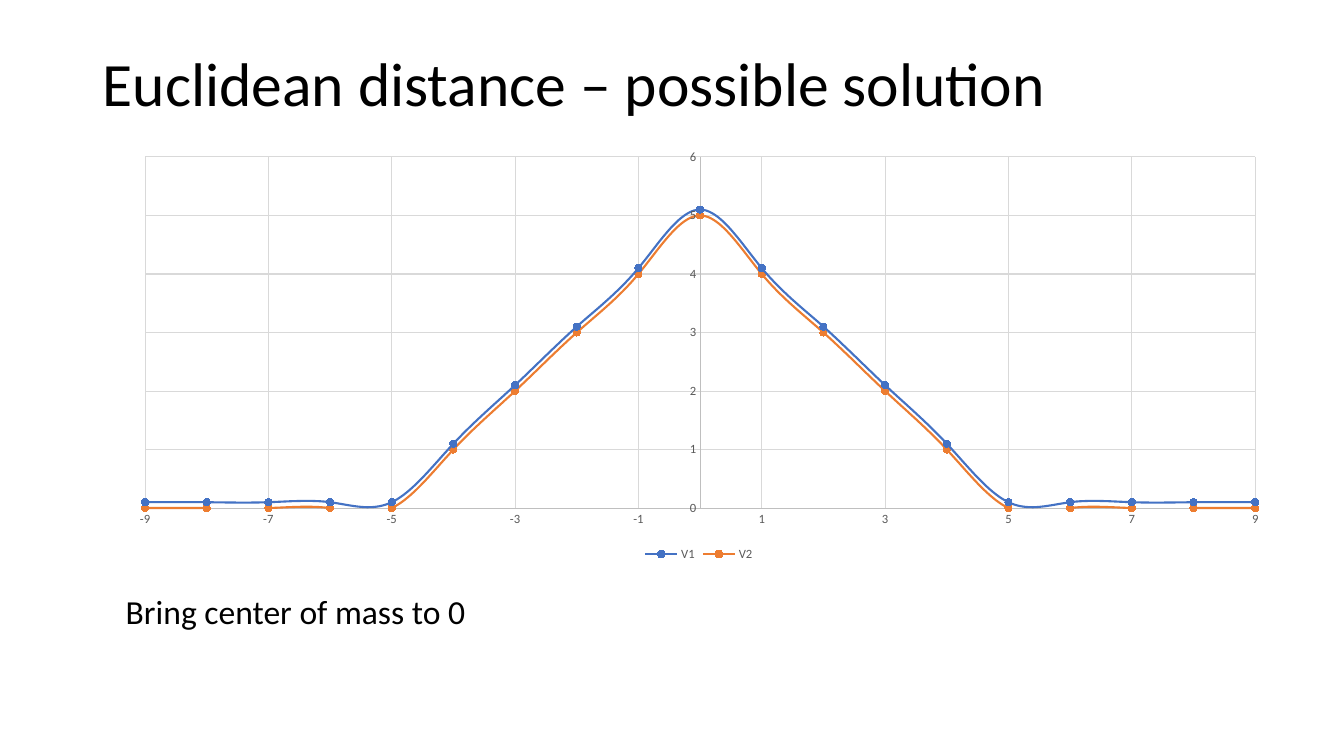
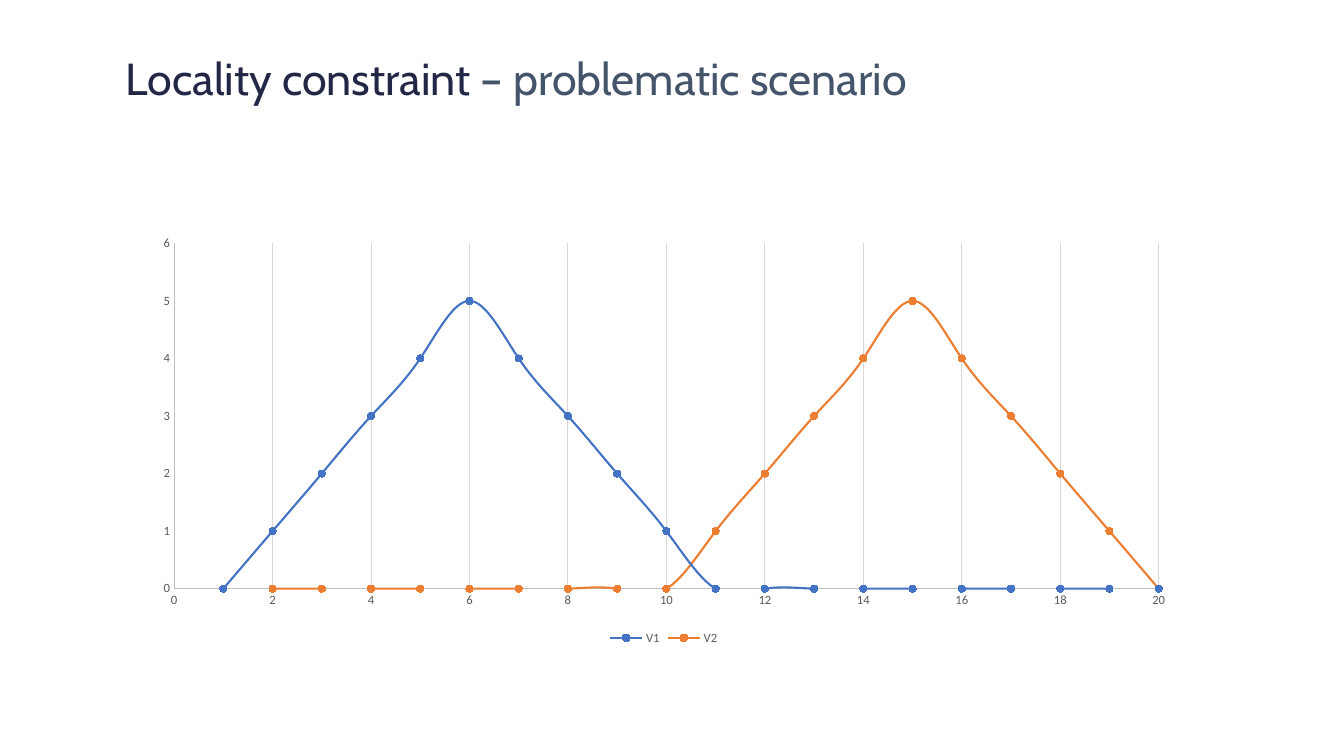
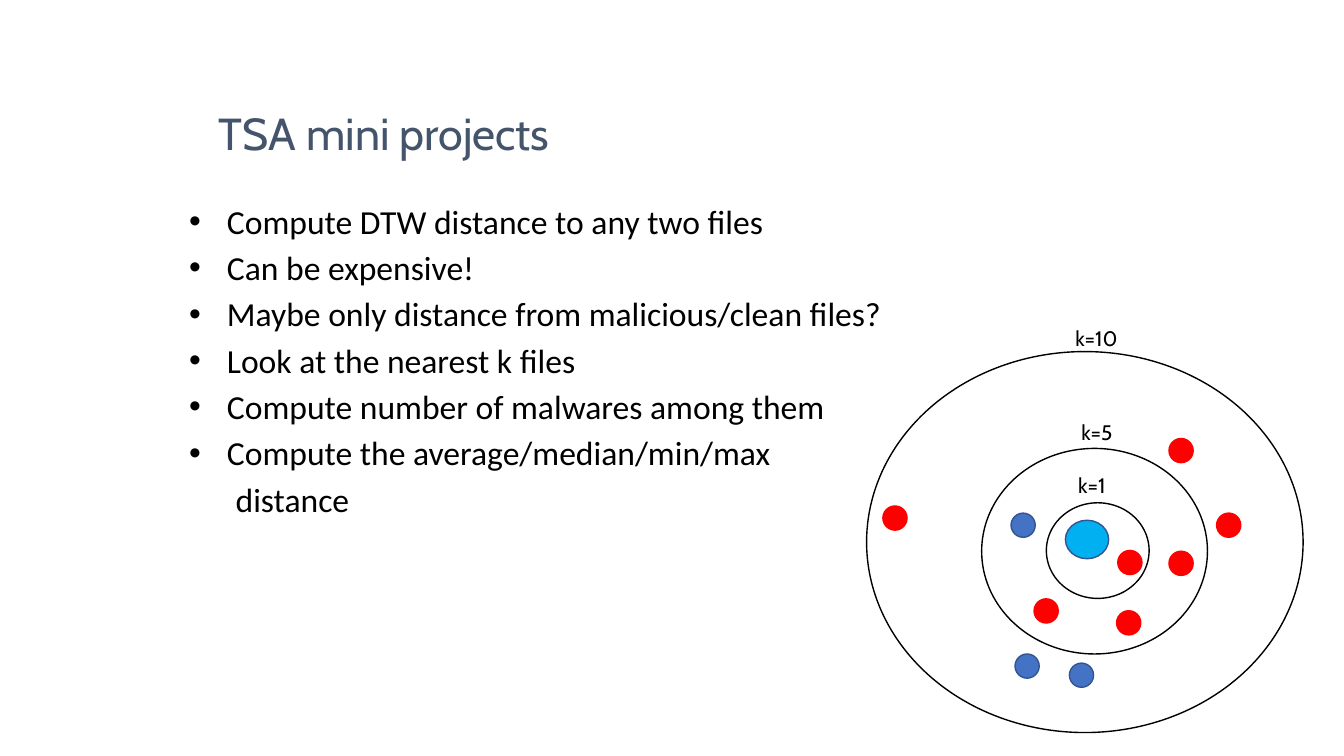
from pptx import Presentation
from pptx.chart.data import XyChartData
from pptx.dml.color import RGBColor
from pptx.enum.chart import XL_CHART_TYPE, XL_LEGEND_POSITION, XL_MARKER_STYLE, XL_TICK_MARK
from pptx.enum.shapes import MSO_SHAPE
from pptx.enum.text import MSO_ANCHOR
from pptx.oxml import parse_xml
from pptx.oxml.ns import nsdecls, qn
from pptx.util import Cm, Pt

SMOOTH_SCATTER = XL_CHART_TYPE.XY_SCATTER_SMOOTH
LEGEND_BOTTOM = XL_LEGEND_POSITION.BOTTOM
CIRCLE_MARKER = XL_MARKER_STYLE.CIRCLE
NO_TICK = XL_TICK_MARK.NONE
ELLIPSE = MSO_SHAPE.OVAL
TOP = MSO_ANCHOR.TOP
BOTTOM = MSO_ANCHOR.BOTTOM

BLACK = RGBColor(0x00, 0x00, 0x00)
NAVY = RGBColor(0x21, 0x27, 0x45)
SLATE = RGBColor(0x44, 0x54, 0x6A)
LABEL_GREY = RGBColor(0x59, 0x59, 0x59)
AXIS_GREY = RGBColor(0xBF, 0xBF, 0xBF)
GRID_GREY = RGBColor(0xD9, 0xD9, 0xD9)
BLUE = RGBColor(0x44, 0x72, 0xC4)
DARK_BLUE = RGBColor(0x32, 0x54, 0x91)
ORANGE = RGBColor(0xED, 0x7D, 0x31)
CYAN = RGBColor(0x00, 0xB0, 0xF0)
RED = RGBColor(0xFF, 0x00, 0x00)

BODY_FONT = "Calibri"
HEADING_FONT = "Cabin"


def write(paragraph, text, *, size=24, font=BODY_FONT, color=BLACK):
    run = paragraph.add_run()
    run.text = text
    run.font.size = Pt(size)
    run.font.name = font
    run.font.color.rgb = color


def style_line(line, color, width):
    line.color.rgb = color
    line.width = Pt(width)


def style_font(font, size, color):
    font.name = BODY_FONT
    font.size = Pt(size)
    font.color.rgb = color


def peak(positions, center, base=0):
    return [(x, round(base + max(0, 5 - abs(x - center)), 1)) for x in positions]


class Deck:
    def __init__(self):
        self.presentation = Presentation()
        self.presentation.slide_width = Cm(33.87)
        self.presentation.slide_height = Cm(19.05)
        self.slide = None

    def new_slide(self):
        blank = self.presentation.slide_layouts[6]
        self.slide = self.presentation.slides.add_slide(blank)

    def frame(self, box, anchor=TOP):
        frame = self.slide.shapes.add_textbox(*map(Cm, box)).text_frame
        frame.word_wrap = True
        frame.vertical_anchor = anchor
        return frame

    def text(self, box, text, **style):
        write(self.frame(box).paragraphs[0], text, **style)

    def heading(self, box, *parts):
        paragraph = self.frame(box, BOTTOM).paragraphs[0]
        for text, color in parts:
            write(paragraph, text, size=32, font=HEADING_FONT, color=color)

    def bullets(self, box, items, continuation):
        frame = self.frame(box)
        for index, item in enumerate([*items, continuation]):
            paragraph = frame.add_paragraph() if index else frame.paragraphs[0]
            paragraph.space_before = Pt(4.3) if index else Pt(0)
            write(paragraph, item)
            properties = paragraph._p.get_or_add_pPr()
            if index < len(items):
                properties.set("marL", str(Cm(0.95)))
                properties.set("indent", str(-Cm(0.95)))
                properties.append(parse_xml(f'<a:buFont {nsdecls("a")} typeface="Arial"/>'))
                properties.append(parse_xml(f'<a:buChar {nsdecls("a")} char="•"/>'))
            else:
                properties.set("marL", str(Cm(1.17)))

    def ellipse(self, box, fill, outline):
        ellipse = self.slide.shapes.add_shape(ELLIPSE, *map(Cm, box))
        ellipse.shadow.inherit = False
        if fill is None:
            ellipse.fill.background()
        else:
            ellipse.fill.solid()
            ellipse.fill.fore_color.rgb = fill
        style_line(ellipse.line, outline, 1)

    def axis(self, axis, low, high, step, grid):
        axis.minimum_scale, axis.maximum_scale = low, high
        axis.major_unit = step
        axis.major_tick_mark = axis.minor_tick_mark = NO_TICK
        style_line(axis.format.line, AXIS_GREY, 0.75)
        style_font(axis.tick_labels.font, 9, LABEL_GREY)
        axis.has_major_gridlines = grid
        if grid:
            style_line(axis.major_gridlines.format.line, GRID_GREY, 0.75)

    def scatter(self, box, curves, x_range, plot_area, value_grid):
        data = XyChartData()
        for name, points in curves.items():
            curve = data.add_series(name)
            for x, y in points:
                curve.add_data_point(x, y)
        chart = self.slide.shapes.add_chart(SMOOTH_SCATTER, *map(Cm, box), data).chart
        chart.has_title = False
        style_font(chart.font, 10, BLACK)
        chart.has_legend = True
        chart.legend.position = LEGEND_BOTTOM
        chart.legend.include_in_layout = False
        style_font(chart.legend.font, 9, LABEL_GREY)
        self.axis(chart.category_axis, *x_range, 2, True)
        self.axis(chart.value_axis, 0, 6, 1, value_grid)
        plot = chart.plots[0]
        plot.vary_by_categories = False
        for curve, color in zip(plot.series, (BLUE, ORANGE)):
            style_line(curve.format.line, color, 1.5)
            curve.marker.style = CIRCLE_MARKER
            curve.marker.size = 5
            curve.marker.format.fill.solid()
            curve.marker.format.fill.fore_color.rgb = color
            style_line(curve.marker.format.line, color, 0.75)
            for smooth in curve._element.iter(qn("c:smooth")):
                smooth.set("val", "1")
        self.place_plot(chart, plot_area)

    def place_plot(self, chart, plot_area):
        area = chart._chartSpace.chart.plotArea
        for layout in area.findall(qn("c:layout")):
            area.remove(layout)
        sizes = "".join(f'<c:{key} val="{value}"/>' for key, value in zip("xywh", plot_area))
        area.insert(0, parse_xml(
            f'<c:layout {nsdecls("c")}><c:manualLayout><c:layoutTarget val="inner"/>'
            f'<c:xMode val="edge"/><c:yMode val="edge"/>{sizes}</c:manualLayout></c:layout>'))


def solution_slide(deck):
    deck.new_slide()
    deck.text((2.34, 1.02, 29.21, 2.4), "Euclidean distance – possible solution", size=44)
    positions = range(-9, 10)
    deck.scatter((2.92, 3.56, 29.39, 10.69),
                 {"V1": peak(positions, 0, 0.1), "V2": peak(positions, 0)},
                 (-9, 9), (0.025, 0.037, 0.952, 0.828), True)
    deck.text((2.92, 14.76, 26.9, 1.3), "Bring center of mass to 0")


def scenario_slide(deck):
    deck.new_slide()
    deck.heading((2.92, 0.97, 23.24, 1.8),
                 ("Locality constraint", NAVY), (" – problematic scenario", SLATE))
    positions = range(1, 21)
    deck.scatter((3.71, 5.64, 26.04, 10.72),
                 {"V1": peak(positions, 6), "V2": peak(positions, 15)},
                 (0, 20), (0.026, 0.046, 0.953, 0.812), False)


def projects_slide(deck):
    deck.new_slide()
    deck.heading((5.26, 1.75, 20.8, 2.39), ("TSA mini projects", SLATE))
    deck.bullets((4.52, 4.93, 20.88, 8.5), [
        "Compute DTW distance to any two files",
        "Can be expensive!",
        "Maybe only distance from malicious/clean files?",
        "Look at the nearest k files",
        "Compute number of malwares among them",
        "Compute the average/median/min/max",
    ], "distance")

    neighborhoods = [
        ("k=1", (26.37, 12.67, 2.59, 2.41), (26.92, 11.79)),
        ("k=5", (24.74, 11.3, 5.69, 5.18), (27, 10.44)),
        ("k=10", (21.84, 8.86, 11, 9.6), (26.85, 8.08)),
    ]
    for label, ring, corner in neighborhoods:
        deck.ellipse(ring, None, BLACK)
        deck.text((*corner, 1.75, 0.89), label, size=15, font=HEADING_FONT)

    deck.ellipse((26.85, 13.11, 1.09, 0.97), CYAN, DARK_BLUE)
    malicious = [(28.17, 13.87), (26.06, 15.09), (28.14, 15.39), (29.46, 13.89),
                 (29.46, 11.05), (30.66, 12.93), (22.25, 12.75)]
    clean = [(25.48, 12.93), (25.58, 16.48), (26.95, 16.71)]
    for corners, fill, outline in ((malicious, RED, RED), (clean, BLUE, DARK_BLUE)):
        for corner in corners:
            deck.ellipse((*corner, 0.61, 0.61), fill, outline)


def main():
    deck = Deck()
    solution_slide(deck)
    scenario_slide(deck)
    projects_slide(deck)
    deck.presentation.save("out.pptx")


if __name__ == "__main__":
    main()
